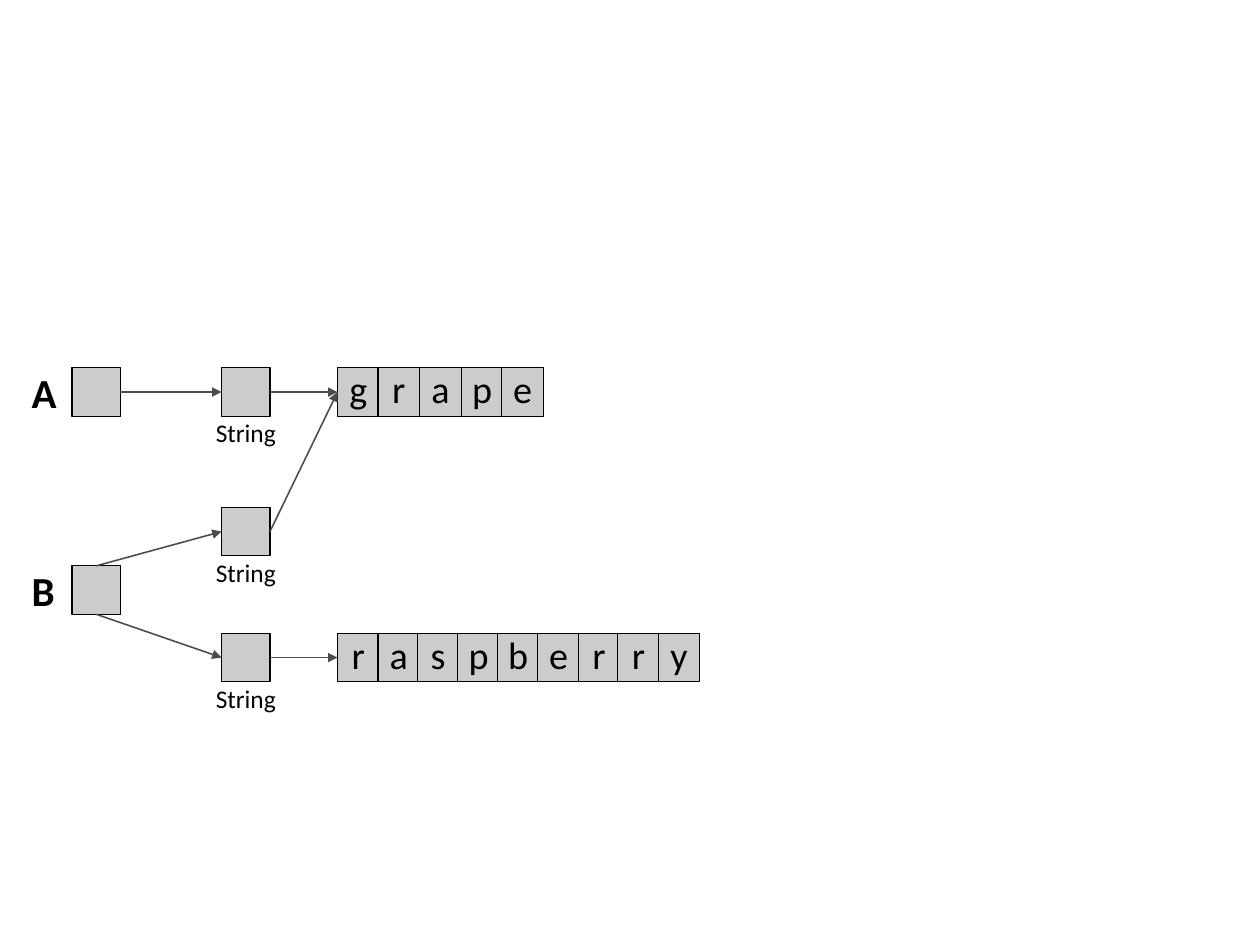
from dataclasses import dataclass

from lxml import etree
from pptx import Presentation
from pptx import util as u
from pptx.dml.color import RGBColor
from pptx.enum import shapes, text
from pptx.oxml import ns

PX = 9000  # EMU in one px, 40 px to the centimetre
TOP, LEFT, BOTTOM, RIGHT = range(4)  # glue points of a box
SIDE = 43  # edge of a square box
CELL = 37  # width of a letter cell


@dataclass(frozen=True)
class Theme:
    font: str = "Calibri"
    fill: RGBColor = RGBColor(0xCC, 0xCC, 0xCC)
    ink: RGBColor = RGBColor(0, 0, 0)
    arrow: RGBColor = RGBColor(0x4C, 0x4C, 0x4C)
    name: int = 26
    letter: int = 24
    label: int = 16
    edge: float = 0.71
    stroke: float = 1


THEME = Theme()


def px(n):
    return u.Emu(n * PX)


# Boxes
def add_box(parent, words, x, y, size, pads, width=SIDE, bold=False,
            align=text.PP_ALIGN.CENTER, anchor=text.MSO_ANCHOR.MIDDLE):
    box = parent.add_shape(shapes.MSO_SHAPE.FLOWCHART_PROCESS,
                           px(x), px(y), px(width), px(SIDE))
    box.shadow.inherit = False
    box.fill.solid()
    box.fill.fore_color.rgb = THEME.fill
    box.line.color.rgb = THEME.ink
    box.line.width = u.Pt(THEME.edge)

    frame = box.text_frame
    frame.word_wrap = False
    frame.vertical_anchor = anchor
    (frame.margin_left, frame.margin_top,
     frame.margin_right, frame.margin_bottom) = map(px, pads)
    para = frame.paragraphs[0]
    para.alignment = align
    run = para.add_run()
    run.text = words
    run.font.name = THEME.font
    run.font.size = u.Pt(size)
    run.font.bold = bold
    run.font.color.rgb = THEME.ink
    return box


def add_name(parent, words, y):
    return add_box(parent, words, 64, y, THEME.name, (-36, 4, 9, 4),
                   bold=True, align=text.PP_ALIGN.LEFT)


def add_string(parent, y):
    return add_box(parent, "String", 197, y, THEME.label, (9, 4, 9, -28),
                   anchor=text.MSO_ANCHOR.BOTTOM)


def add_word(parent, word, y, span):
    """Spread the letter cells so that first and last lie span px apart."""
    group = parent.add_group_shape()
    step = span / (len(word) - 1)
    cells = [add_box(group.shapes, letter, 300 + round(i * step), y,
                     THEME.letter, (9, 4, 9, 10), width=CELL)
             for i, letter in enumerate(word)]
    return cells[0]


# Arrows
def add_arrow(parent, start, side, end):
    link = parent.add_connector(shapes.MSO_CONNECTOR.STRAIGHT, 0, 0, 0, 0)
    link.begin_connect(start, side)
    link.end_connect(end, LEFT)
    link.line.color.rgb = THEME.arrow
    link.line.width = u.Pt(THEME.stroke)
    edge = link.line._get_or_add_ln()
    etree.SubElement(edge, ns.qn("a:tailEnd"), type="triangle")
    etree.SubElement(link._element.spPr, ns.qn("a:effectLst"))


def main():
    deck = Presentation()
    deck.slide_width, deck.slide_height = px(1120), px(840)
    tree = deck.slides.add_slide(deck.slide_layouts[6]).shapes

    # Names and their strings
    a = add_name(tree, "A", 327)
    b = add_name(tree, "B", 503)
    first, shared, last = [add_string(tree, y) for y in (327, 451, 563)]

    # Letters
    grape = add_word(tree, "grape", 327, 146)
    berry = add_word(tree, "raspberry", 563, 285)

    # References
    for start, side, end in (
        (a, RIGHT, first),
        (b, TOP, shared),
        (b, BOTTOM, last),
        (first, RIGHT, grape),
        (shared, RIGHT, grape),
        (last, RIGHT, berry),
    ):
        add_arrow(tree, start, side, end)

    deck.save("out.pptx")


if __name__ == "__main__":
    main()
